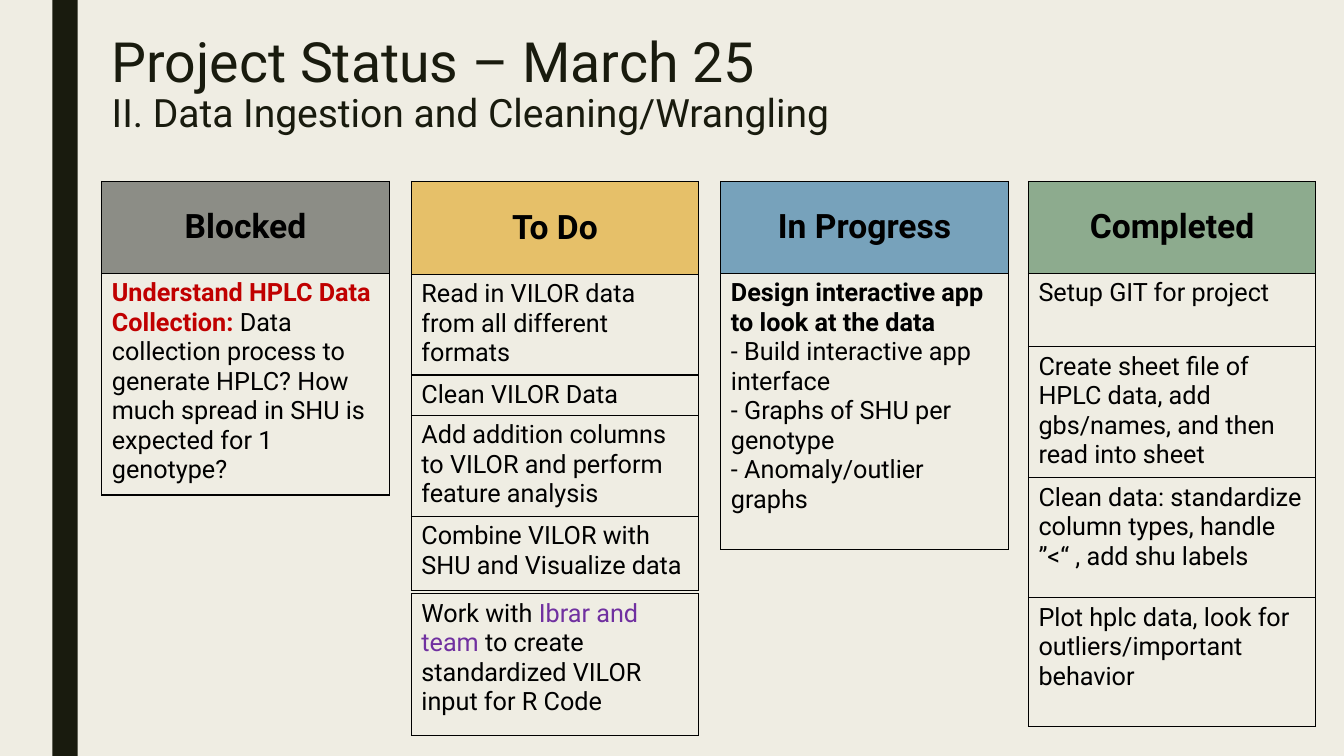
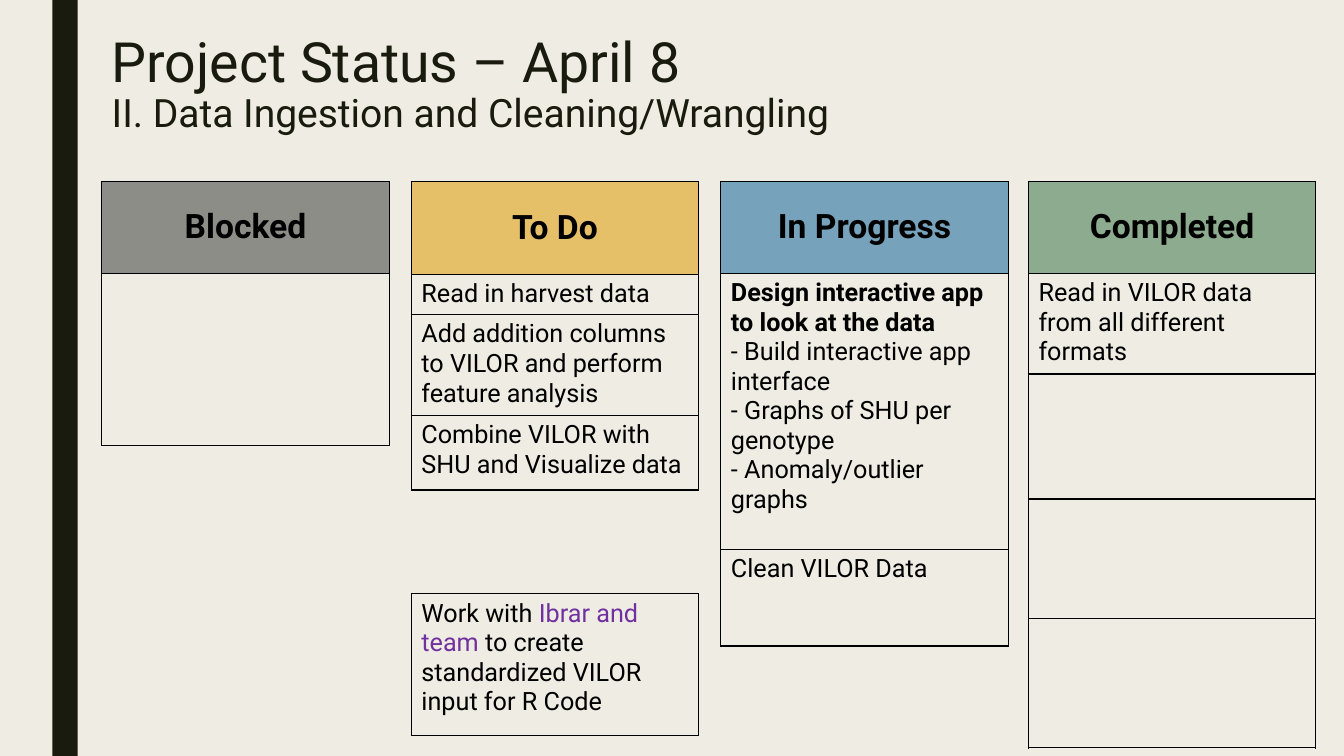
from dataclasses import dataclass

from lxml import etree
from pptx import Presentation
from pptx import util as u
from pptx.dml.color import RGBColor
from pptx.enum import shapes, text
from pptx.oxml import ns


@dataclass(frozen=True)
class Theme:
    font: str = "Roboto"
    background: str = "EFEDE3"
    dark: str = "191B0E"
    ink: str = "000000"
    alert: str = "C00000"
    people: str = "7030A0"
    title_size: float = 39.6
    subtitle_size: float = 27.9
    header_size: float = 24
    body_size: float = 18
    border_width: float = 1


THEME = Theme()
SLIDE_WIDTH, SLIDE_HEIGHT = 1333, 750
COLUMN_TOP, COLUMN_WIDTH = 180, 285

# Board columns: name -> left edge, header height, header colour
COLUMNS = {
    "Blocked": (101, 91, "8C8D86"),
    "To Do": (408, 92, "E6C069"),
    "In Progress": (715, 91, "77A2BB"),
    "Completed": (1020, 91, "8DAB8E"),
}


# A card is (height, paragraphs); a paragraph is a list of (text, colour, bold).
# Rows grow to fit their text, so heights are minimums.
def plain(wording):
    return [(wording, THEME.ink, False)]


def card(height, *wordings):
    return height, [plain(wording) for wording in wordings]


HPLC_CARD = (171, [[
    ("Understand HPLC Data Collection: ", THEME.alert, True),
    ("Data collection process to generate HPLC? How much spread in SHU is "
     "expected for 1 genotype?", THEME.ink, False),
]])
APP_CARD = (274, [
    [("Design interactive app to look at the data", THEME.ink, True)],
    plain("- Build interactive app interface"),
    plain("- Graphs of SHU per genotype"),
    plain("- Anomaly/outlier graphs"),
])
TEAM_CARD = (141, [[
    ("Work with ", THEME.ink, False),
    ("Ibrar and team ", THEME.people, False),
    ("to create standardized VILOR input for R Code", THEME.ink, False),
]])
READ_CARD = card(87, "Read in VILOR data from all different formats")
CLEAN_CARD_TEXT = "Clean VILOR Data"
FEATURE_CARD = card(
    87, "Add addition columns to VILOR and perform feature analysis")
COMBINE_CARD = card(74, "Combine VILOR with SHU and Visualize data")
SUBTITLE = "II. Data Ingestion and Cleaning/Wrangling"

STATUSES = [
    ("Project Status – March 25", {
        "Blocked": [HPLC_CARD],
        "To Do": [READ_CARD, card(37, CLEAN_CARD_TEXT), FEATURE_CARD,
                  COMBINE_CARD],
        "In Progress": [APP_CARD],
        "Completed": [
            card(73, "Setup GIT for project"),
            card(124, "Create sheet file of HPLC data, add gbs/names, "
                      "and then read into sheet"),
            card(119, "Clean data: standardize column types, handle ”<“ , "
                      "add shu labels"),
            card(128, "Plot hplc data, look for outliers/important behavior"),
        ],
    }),
    ("Project Status – April 8", {
        "Blocked": [card(171)],
        "To Do": [card(37, "Read in harvest data"), FEATURE_CARD,
                  COMBINE_CARD],
        "In Progress": [APP_CARD, card(96, CLEAN_CARD_TEXT)],
        "Completed": [READ_CARD, card(124), card(119), card(128)],
    }),
]


def px(length):
    return u.Emu(length * 9144)


def style(font, size, colour, bold=False):
    font.name = THEME.font
    font.size = u.Pt(size)
    font.bold = bold
    font.color.rgb = RGBColor.from_string(colour)


def write(frame, paragraphs, size, align=text.PP_ALIGN.LEFT):
    for index, runs in enumerate(paragraphs):
        paragraph = frame.add_paragraph() if index else frame.paragraphs[0]
        paragraph.alignment = align
        style(paragraph.font, size, runs[0][1], runs[0][2])
        for wording, colour, bold in runs:
            run = paragraph.add_run()
            run.text = wording
            style(run.font, size, colour, bold)


def add_borders(cell):
    properties = cell._tc.get_or_add_tcPr()
    for side in ("lnL", "lnR", "lnT", "lnB"):
        line = etree.SubElement(properties, ns.qn(f"a:{side}"),
                                w=str(u.Pt(THEME.border_width)))
        fill = etree.SubElement(line, ns.qn("a:solidFill"))
        etree.SubElement(fill, ns.qn("a:srgbClr"), val=THEME.ink)


def add_cards(slide, left, top, cards, header=None):
    """Stack cards in one table, under a coloured header if one is given."""
    rows = list(cards)
    if header:
        name, height, colour = header
        rows.insert(0, (height, [[(name, THEME.ink, True)]]))
    total = sum(height for height, _ in rows)
    table = slide.shapes.add_table(len(rows), 1, px(left), px(top),
                                   px(COLUMN_WIDTH), px(total)).table
    table.first_row = table.horz_banding = False
    for index, (height, paragraphs) in enumerate(rows):
        table.rows[index].height = px(height)
        cell = table.cell(index, 0)
        add_borders(cell)
        if header and index == 0:
            cell.fill.solid()
            cell.fill.fore_color.rgb = RGBColor.from_string(colour)
            cell.vertical_anchor = text.MSO_ANCHOR.MIDDLE
            write(cell.text_frame, paragraphs, THEME.header_size,
                  text.PP_ALIGN.CENTER)
        else:
            cell.fill.background()
            write(cell.text_frame, paragraphs, THEME.body_size)


def add_band(slide, left, width):
    band = slide.shapes.add_shape(shapes.MSO_SHAPE.RECTANGLE, px(left), 0,
                                  px(width), px(SLIDE_HEIGHT))
    band.shadow.inherit = False
    band.fill.solid()
    band.fill.fore_color.rgb = RGBColor.from_string(THEME.dark)
    band.line.fill.background()


def add_title(slide, left, top, width, height, title):
    frame = slide.shapes.add_textbox(px(left), px(top), px(width),
                                     px(height)).text_frame
    frame.word_wrap = True
    frame.margin_top = px(6)
    sizes = (THEME.title_size, THEME.subtitle_size)
    for index, (wording, size) in enumerate(zip((title, SUBTITLE), sizes)):
        paragraph = frame.add_paragraph() if index else frame.paragraphs[0]
        paragraph.line_spacing = 0.89
        paragraph.text = wording
        style(paragraph.font, size, THEME.dark)


def add_status_slide(presentation, title, board):
    slide = presentation.slides.add_slide(presentation.slide_layouts[6])
    add_band(slide, 52, 25)
    add_title(slide, 101, 29, 1050, 162, title)
    for name, (left, height, colour) in COLUMNS.items():
        add_cards(slide, left, COLUMN_TOP, board[name], (name, height, colour))
    # Separate card below the To Do column
    add_cards(slide, COLUMNS["To Do"][0], 589, [TEAM_CARD])


def main():
    presentation = Presentation()
    presentation.slide_width = px(SLIDE_WIDTH)
    presentation.slide_height = px(SLIDE_HEIGHT)
    background = presentation.slide_master.background.fill
    background.solid()
    background.fore_color.rgb = RGBColor.from_string(THEME.background)
    for title, board in STATUSES:
        add_status_slide(presentation, title, board)
    presentation.save("out.pptx")


if __name__ == "__main__":
    main()
